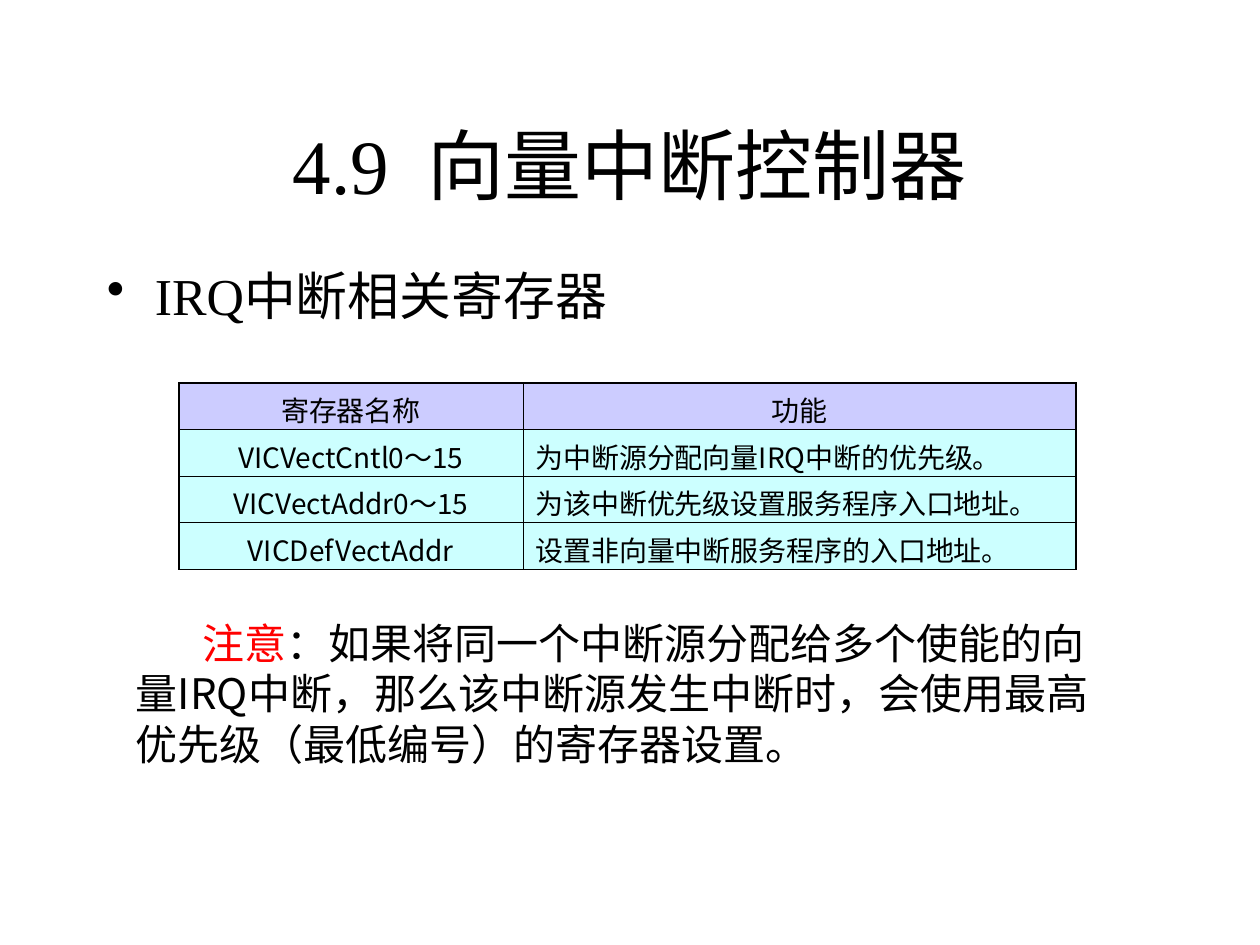
"""Build a slide on the interrupt registers of a vectored interrupt controller."""
from dataclasses import dataclass

from lxml import etree
from pptx import Presentation
from pptx import util as u
from pptx.dml import color
from pptx.enum import lang, text
from pptx.oxml import ns

COLOURS = {"ink": "000000", "alert": "FF0000", "header": "CCCCFF", "body": "CCFFFF"}
SERIF, SANS, NOTE_SANS = "Times New Roman", "Noto Sans CJK SC", "Noto Sans CJK JP"
THIN, THICK = 0.45, 1.08
COLUMN_WIDTHS, ROW_HEIGHT = (2.73, 4.39), 0.37
REGISTERS = (
    ("寄存器名称", "功能"),
    ("VICVectCntl0～15", "为中断源分配向量IRQ中断的优先级。"),
    ("VICVectAddr0～15", "为该中断优先级设置服务程序入口地址。"),
    ("VICDefVectAddr", "设置非向量中断服务程序的入口地址。"),
)


@dataclass(frozen=True)
class Span:
    """A run of text with its look."""
    words: str
    size: float
    latin: str
    asian: str = SANS
    colour: str = "ink"
    spacing: int = 0


@dataclass(frozen=True)
class TextBlock:
    """A one-paragraph text box; lengths are in inches."""
    place: tuple[float, float, float, float]
    spans: tuple[Span, ...]
    frame: dict
    para: dict
    margin: float = 0
    indent: float = 0
    bullet: str = ""


BLOCKS = (
    TextBlock((0.75, 2.1, 8.42, 0.63), (Span("IRQ中断相关寄存器", 29.6, SERIF),),
              {}, {"line_spacing": 0.9}, 0.38, -0.38, "•"),
    TextBlock((0.75, 0.67, 8.5, 1.25),
              (Span("4.9", 44, SERIF), Span(" ", 44, SERIF, spacing=1100),
               Span("向量中断控制器", 44, SERIF)),
              {"vertical_anchor": text.MSO_ANCHOR.MIDDLE},
              {"alignment": text.PP_ALIGN.CENTER}),
    TextBlock((0.98, 4.85, 7.95, 1.3),
              (Span("注意", 24, NOTE_SANS, NOTE_SANS, "alert"),
               Span("：如果将同一个中断源分配给多个使能的向量IRQ中断，那么该中断源发生中断时，"
                    "会使用最高优先级（最低编号）的寄存器设置。", 24, NOTE_SANS, NOTE_SANS)),
              {"auto_size": text.MSO_AUTO_SIZE.SHAPE_TO_FIT_TEXT}, {}, indent=0.53),
)


def apply_format(target, values: dict) -> None:
    """Set each named attribute on the target."""
    for name, value in values.items():
        setattr(target, name, value)


def add_span(para, span: Span) -> None:
    """Append a formatted run to a paragraph."""
    run = para.add_run()
    run.text = span.words
    apply_format(run.font, {"size": u.Pt(span.size), "name": span.latin, "bold": False,
                            "language_id": lang.MSO_LANGUAGE_ID.SIMPLIFIED_CHINESE})
    run.font.color.rgb = color.RGBColor.from_string(COLOURS[span.colour])
    properties = run.font._element
    etree.SubElement(properties, ns.qn("a:ea"), typeface=span.asian)
    if span.spacing:
        properties.set("spc", str(span.spacing))


def add_block(page, block: TextBlock) -> None:
    """Draw a text box with one paragraph."""
    box = page.shapes.add_textbox(*map(u.Inches, block.place))
    apply_format(box.text_frame, {"word_wrap": True, **block.frame})
    para = box.text_frame.paragraphs[0]
    apply_format(para, block.para)
    properties = para._p.get_or_add_pPr()
    properties.set("marL", str(u.Inches(block.margin)))
    properties.set("indent", str(u.Inches(block.indent)))
    if block.bullet:
        etree.SubElement(properties, ns.qn("a:buChar"), char=block.bullet)
    for span in block.spans:
        add_span(para, span)


def add_borders(cell, widths: dict[str, float]) -> None:
    """Line the cell sides, keeping borders ahead of the fill."""
    properties = cell._tc.get_or_add_tcPr()
    for position, (side, width) in enumerate(widths.items()):
        line = etree.Element(ns.qn(f"a:ln{side}"), w=str(u.Pt(width)))
        fill = etree.SubElement(line, ns.qn("a:solidFill"))
        etree.SubElement(fill, ns.qn("a:srgbClr"), val=COLOURS["ink"])
        properties.insert(position, line)


def add_register_table(page) -> None:
    """Draw the register table with a heavier outer frame."""
    last_row, last_column = len(REGISTERS) - 1, len(COLUMN_WIDTHS) - 1
    size = (sum(COLUMN_WIDTHS), ROW_HEIGHT * len(REGISTERS))
    table = page.shapes.add_table(len(REGISTERS), len(COLUMN_WIDTHS),
                                  *map(u.Inches, (1.42, 3.04, *size))).table
    apply_format(table, {"first_row": False, "horz_banding": False})
    for column, width in zip(table.columns, COLUMN_WIDTHS):
        column.width = u.Inches(width)
    for r, record in enumerate(REGISTERS):
        table.rows[r].height = u.Inches(ROW_HEIGHT)
        for c, words in enumerate(record):
            cell = table.cell(r, c)
            cell.fill.solid()
            fill = "body" if r else "header"
            cell.fill.fore_color.rgb = color.RGBColor.from_string(COLOURS[fill])
            outer = {"L": c == 0, "R": c == last_column, "T": r == 0, "B": r == last_row}
            add_borders(cell, {side: THICK if edge else THIN for side, edge in outer.items()})
            para = cell.text_frame.paragraphs[0]
            centred = r == 0 or c == 0
            para.alignment = text.PP_ALIGN.CENTER if centred else text.PP_ALIGN.LEFT
            add_span(para, Span(words, 16, SANS))


def main() -> None:
    """Build and save the deck."""
    deck = Presentation()
    apply_format(deck, {"slide_width": u.Inches(10), "slide_height": u.Inches(7.5)})
    page = deck.slides.add_slide(deck.slide_layouts[6])
    heading, title, note = BLOCKS
    add_block(page, heading)
    add_block(page, title)
    add_register_table(page)
    add_block(page, note)
    deck.save("out.pptx")


if __name__ == "__main__":
    main()
